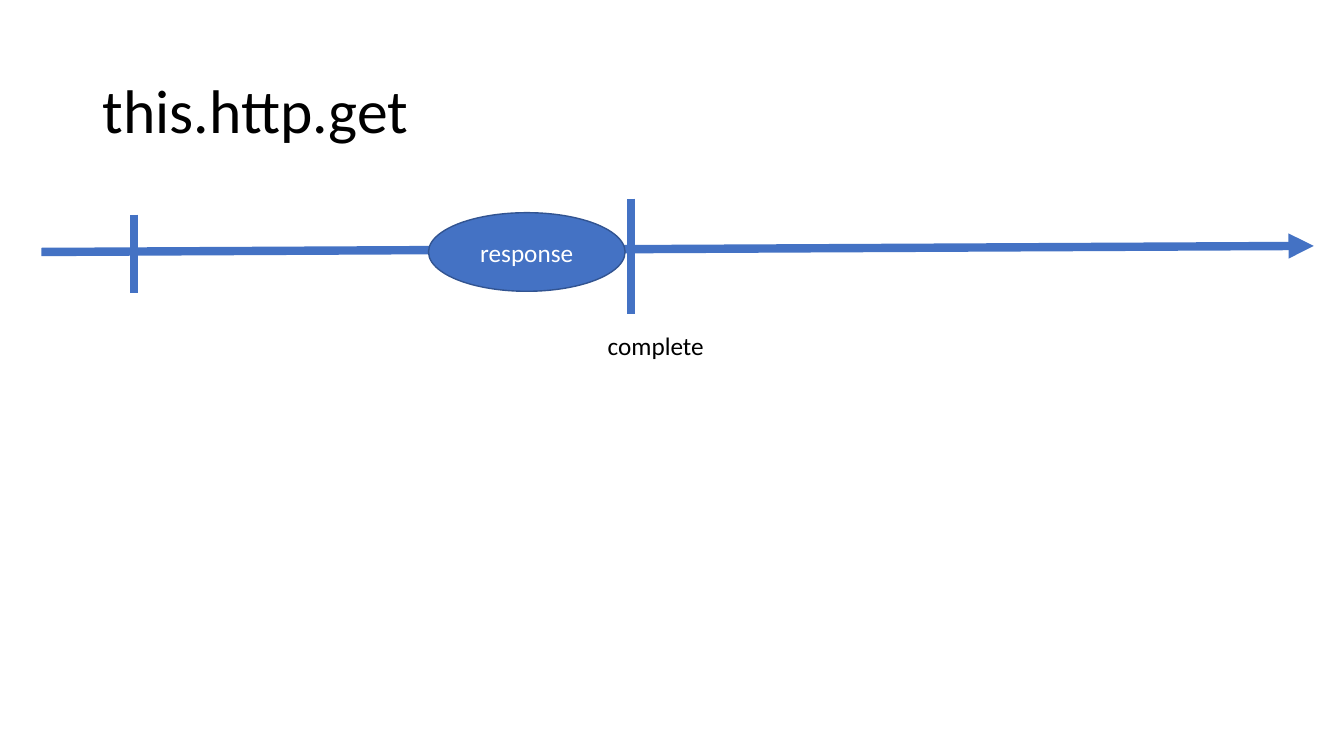
from lxml.etree import SubElement as Sub
from pptx import Presentation
from pptx.dml.color import RGBColor
from pptx.enum.shapes import MSO_CONNECTOR as Conn, MSO_SHAPE as Form
from pptx.enum.text import MSO_ANCHOR as Anchor, PP_ALIGN as Align
from pptx.oxml.ns import qn
from pptx.util import Inches, Pt


def paint(part, tone):
    part.solid()
    part.fore_color.rgb = RGBColor.from_string(tone)


def write(shape, text, size=18, tone="000000", align=Align.LEFT,
          anchor=Anchor.TOP, wrap=True, space=1.0):
    frame = shape.text_frame
    frame.word_wrap = wrap
    frame.vertical_anchor = anchor
    para = frame.paragraphs[0]
    para.alignment = align
    para.line_spacing = space
    run = para.add_run()
    run.text = text
    run.font.name = "Calibri"
    run.font.size = Pt(size)
    paint(run.font.fill, tone)


deck = Presentation()
deck.slide_width = Inches(13.33)
deck.slide_height = Inches(7.5)
col = deck.slide_width / 100
row = deck.slide_height / 100
slide = deck.slides.add_slide(deck.slide_layouts[6])
shapes = slide.shapes
blue = "4472C4"

title = shapes.add_textbox(int(6.9 * col), int(5.33 * row),
                           int(86.27 * col), int(19.33 * row))
write(title, "this.http.get", size=44, anchor=Anchor.MIDDLE, space=0.9)

lines = [
    (3.08, 33.33, 97.75, 32.53, True),
    (9.98, 28.4, 9.98, 38.8, False),
    (46.96, 26.27, 46.96, 41.47, False),
]
for left, top, right, low, arrow in lines:
    line = shapes.add_connector(Conn.STRAIGHT, int(left * col), int(top * row),
                                int(right * col), int(low * row))
    line.line.width = Pt(6)
    paint(line.line.fill, blue)
    if arrow:
        Sub(line.line._get_or_add_ln(), qn("a:tailEnd"), type="triangle")
    Sub(line._element.spPr, qn("a:effectLst"))

reply = shapes.add_shape(Form.OVAL, int(31.88 * col), int(28.13 * row),
                         int(14.63 * col), int(10.4 * row))
reply.shadow.inherit = False
paint(reply.fill, blue)
reply.line.width = Pt(1)
paint(reply.line.fill, "325491")
write(reply, "response", tone="FFFFFF", align=Align.CENTER, anchor=Anchor.MIDDLE)

label = shapes.add_textbox(int(44.48 * col), int(43.07 * row),
                           int(8.78 * col), int(5.33 * row))
write(label, "complete", wrap=False)

deck.save("out.pptx")
